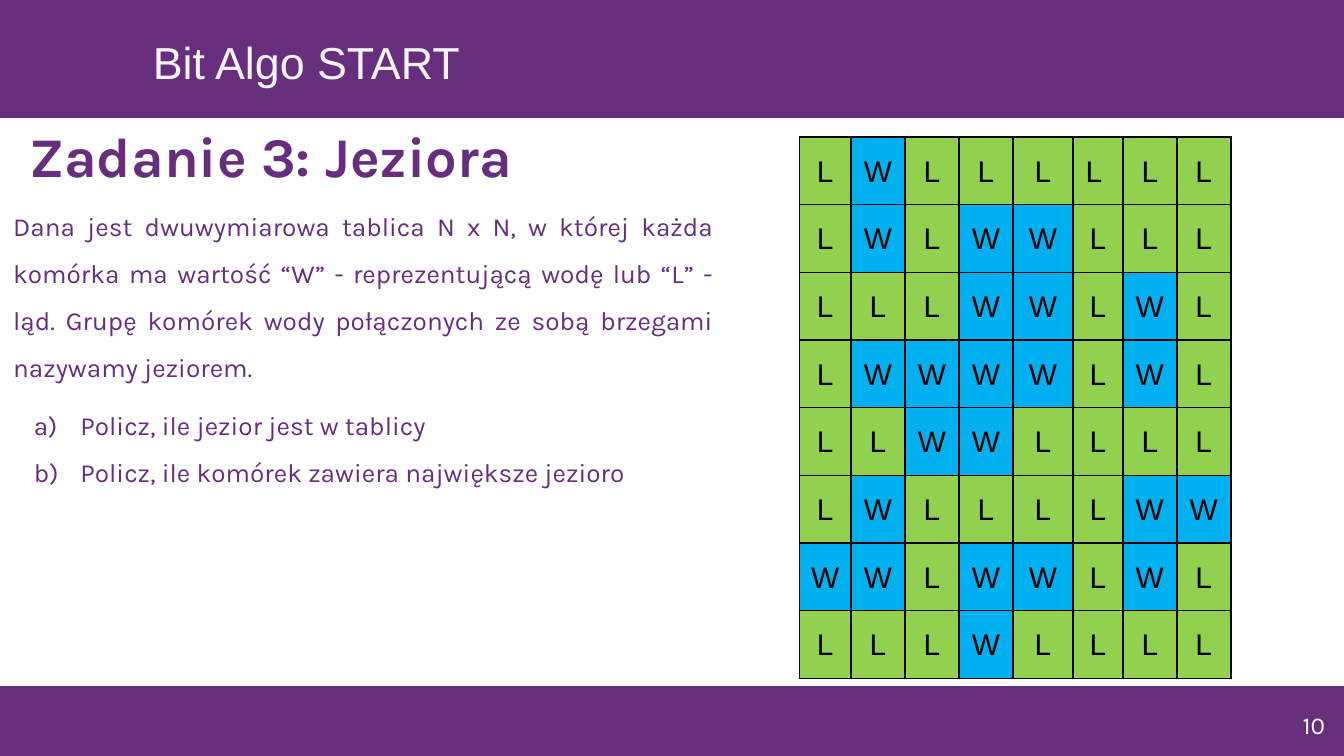
from dataclasses import dataclass

from lxml import etree
from pptx import Presentation
from pptx.dml.color import RGBColor
from pptx.enum.shapes import MSO_SHAPE
from pptx.enum.text import MSO_ANCHOR, PP_ALIGN
from pptx.oxml.ns import qn
from pptx.util import Cm, Pt

RECTANGLE = MSO_SHAPE.RECTANGLE
TOP, BOTTOM = MSO_ANCHOR.TOP, MSO_ANCHOR.BOTTOM
LEFT, CENTER = PP_ALIGN.LEFT, PP_ALIGN.CENTER
RIGHT, JUSTIFY = PP_ALIGN.RIGHT, PP_ALIGN.JUSTIFY


@dataclass(frozen=True)
class Theme:
    purple: str = "662E7D"
    light: str = "F3F3F3"
    white: str = "FFFFFF"
    black: str = "000000"
    land: str = "92D050"
    water: str = "00B0F0"
    heading_font: str = "Arial"
    body_font: str = "Karla"
    title_size: int = 30
    header_size: int = 24
    cell_size: int = 16
    body_size: int = 14
    number_size: int = 13


theme = Theme()


def add_text_box(left, top, width, height, anchor=TOP):
    text_box = slide.shapes.add_textbox(Cm(left), Cm(top), Cm(width), Cm(height))
    frame = text_box.text_frame
    frame.word_wrap = True
    frame.vertical_anchor = anchor
    frame.margin_left = frame.margin_right = Cm(0.25)
    frame.margin_top = frame.margin_bottom = Cm(0.25)
    return frame


def add_run(paragraph, text, font, size, color, alignment=LEFT, bold=False):
    paragraph.alignment = alignment
    run = paragraph.add_run()
    run.text = text
    run.font.name = font
    run.font.size = Pt(size)
    run.font.bold = bold
    run.font.color.rgb = RGBColor.from_string(color)


presentation = Presentation()
presentation.slide_width = Cm(25.4)
presentation.slide_height = Cm(14.29)
slide = presentation.slides.add_slide(presentation.slide_layouts[6])

# Header and footer bands
for top, height in [(-0.08, 2.29), (13, 1.45)]:
    band = slide.shapes.add_shape(RECTANGLE, Cm(-0.1), Cm(top), Cm(25.58), Cm(height))
    band.shadow.inherit = False
    band.fill.solid()
    band.fill.fore_color.rgb = RGBColor.from_string(theme.purple)
    band.line.color.rgb = RGBColor.from_string(theme.purple)
    band.line.width = Pt(1.5)

# Course name, slide title and page number
header = add_text_box(2.64, 0.41, 11.3, 1.55)
add_run(header.paragraphs[0], "Bit Algo START", theme.heading_font,
        theme.header_size, theme.light)
title = add_text_box(0.3, 2.31, 24.79, 1.5, BOTTOM)
add_run(title.paragraphs[0], "Zadanie 3: Jeziora", theme.body_font,
        theme.title_size, theme.purple, bold=True)
number = add_text_box(23.77, 13.18, 1.52, 1.09)
add_run(number.paragraphs[0], "10", theme.body_font,
        theme.number_size, theme.white, RIGHT)

# Task description
body = add_text_box(0, 3.43, 13.74, 8.53)
description = body.paragraphs[0]
add_run(
    description,
    "Dana jest dwuwymiarowa tablica N x N, w której każda komórka ma wartość “W” - "
    "reprezentującą wodę lub “L” - ląd. Grupę komórek wody połączonych ze sobą "
    "brzegami nazywamy jeziorem.",
    theme.body_font, theme.body_size, theme.purple, JUSTIFY)
description.line_spacing = 1.5
description.space_before = Pt(6)

# Lettered questions
questions = [
    ("Policz, ile jezior jest w tablicy", 6),
    ("Policz, ile komórek zawiera największe jezioro", 0),
]
for text, space_before in questions:
    question = body.add_paragraph()
    add_run(question, text, theme.body_font, theme.body_size, theme.purple, JUSTIFY)
    question.line_spacing = 1.5
    question.space_before = Pt(space_before)
    properties = question._p.get_or_add_pPr()
    properties.set("marL", str(Cm(1.27)))
    properties.set("indent", str(Cm(-0.88)))
    bullet_color = etree.SubElement(properties, qn("a:buClr"))
    etree.SubElement(bullet_color, qn("a:srgbClr"), val=theme.purple)
    etree.SubElement(properties, qn("a:buSzPct"), val="100000")
    etree.SubElement(properties, qn("a:buFont"), typeface=theme.body_font)
    etree.SubElement(properties, qn("a:buAutoNum"), type="alphaLcParenR")

# Lake map: L is land, W is water
lake_map = [
    "LWLLLLLL",
    "LWLWWLLL",
    "LLLWWLWL",
    "LWWWWLWL",
    "LLWWLLLL",
    "LWLLLLWW",
    "WWLWWLWL",
    "LLLWLLLL",
]
column_widths = [0.97, 1.02, 1.02, 1.02, 1.14, 0.94, 1.02, 1.02]
row_height = 1.27
terrain_colors = {"L": theme.land, "W": theme.water}

table = slide.shapes.add_table(
    len(lake_map), len(column_widths), Cm(15.11), Cm(2.59),
    Cm(sum(column_widths)), Cm(row_height * len(lake_map))).table
table.first_row = False
table.horz_banding = False
for column, width in zip(table.columns, column_widths):
    column.width = Cm(width)

for row, letters in zip(table.rows, lake_map):
    row.height = Cm(row_height)
    for cell, letter in zip(row.cells, letters):
        cell.margin_left = cell.margin_right = Cm(0.17)
        cell.margin_top = cell.margin_bottom = Cm(0.25)
        paragraph = cell.text_frame.paragraphs[0]
        paragraph.line_spacing = 1.15
        add_run(paragraph, letter, theme.heading_font, theme.cell_size,
                theme.black, CENTER)
        # Borders come before the fill in the cell properties
        cell_properties = cell._tc.get_or_add_tcPr()
        for side in ("lnL", "lnR", "lnT", "lnB"):
            border = etree.SubElement(cell_properties, qn(f"a:{side}"), w=str(Pt(1)))
            border_fill = etree.SubElement(border, qn("a:solidFill"))
            etree.SubElement(border_fill, qn("a:srgbClr"), val=theme.black)
        cell.fill.solid()
        cell.fill.fore_color.rgb = RGBColor.from_string(terrain_colors[letter])

# One letter in the top row sits slightly left of centre
table.cell(0, 5).margin_right = Cm(0.32)

presentation.save("out.pptx")
